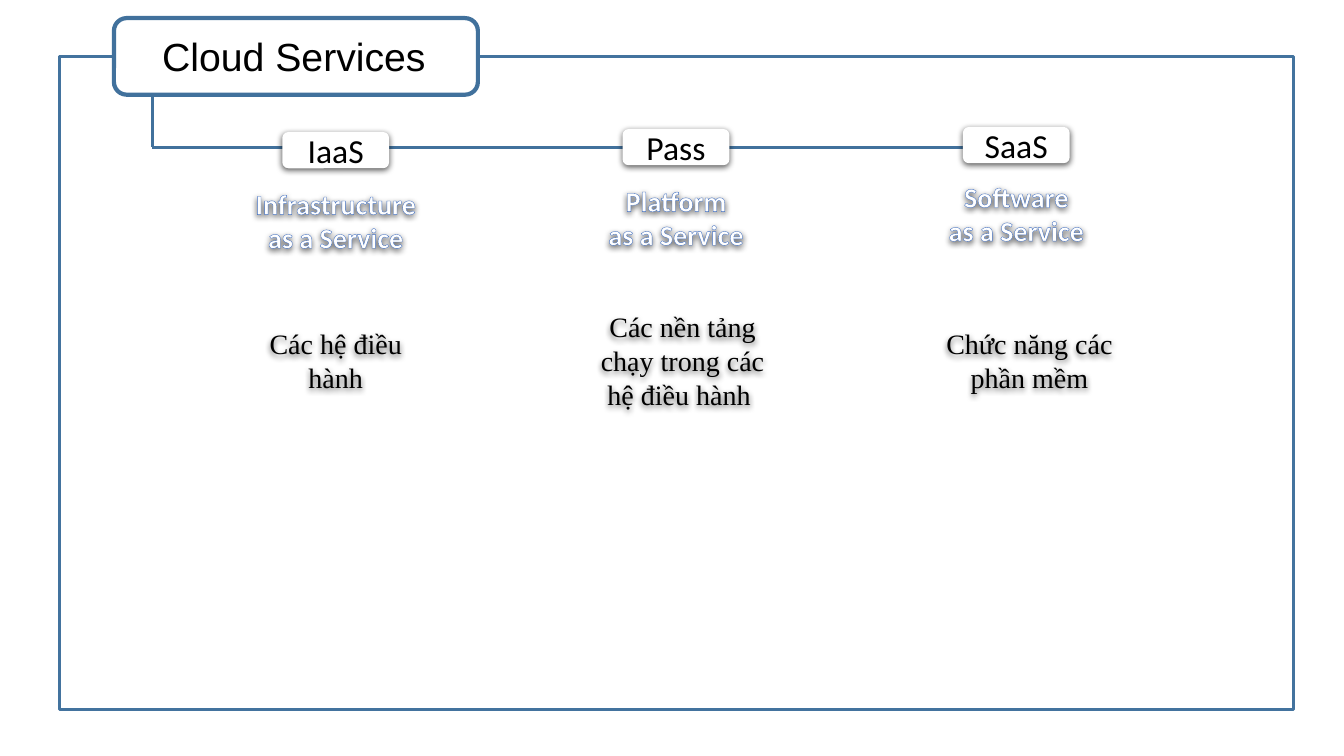
from dataclasses import dataclass
from typing import Any, Optional

import lxml.etree
import pptx
import pptx.dml.color
import pptx.enum.shapes
import pptx.enum.text
import pptx.oxml
import pptx.oxml.ns
import pptx.util

Inches = pptx.util.Inches
Pt = pptx.util.Pt
RGBColor = pptx.dml.color.RGBColor
ShapeKind = pptx.enum.shapes.MSO_SHAPE
Align = pptx.enum.text.PP_ALIGN
Anchor = pptx.enum.text.MSO_ANCHOR
qn = pptx.oxml.ns.qn

BLACK = RGBColor(0x00, 0x00, 0x00)
WHITE = RGBColor(0xFF, 0xFF, 0xFF)
LINE_BLUE = RGBColor(0x41, 0x71, 0x9C)
FRAME_BLUE = RGBColor(0x43, 0x73, 0x9E)
OUTLINE_BLUE = RGBColor(0x44, 0x72, 0xC4)

DRAWING = "http://schemas.openxmlformats.org/drawingml/2006/main"
SHADOW_XML = (
    f'<a:effectLst xmlns:a="{DRAWING}"><a:outerShdw blurRad="{Pt(4.5)}" '
    f'dist="{Pt(1.5)}" dir="5400000" algn="ctr" rotWithShape="0">'
    f'<a:srgbClr val="{BLACK}"><a:alpha val="63000"/></a:srgbClr>'
    "</a:outerShdw></a:effectLst>"
)
OUTLINE_XML = (
    f'<a:ln xmlns:a="{DRAWING}" w="{Pt(0.8)}"><a:solidFill>'
    f'<a:srgbClr val="{OUTLINE_BLUE}"/></a:solidFill></a:ln>'
)


@dataclass(frozen=True)
class Service:
    name: str
    meaning: tuple[str, str]
    description: str
    name_top: float
    meaning_top: float


@dataclass(frozen=True)
class TextBlock:
    left: float
    step: float
    width: float
    height: float
    font: dict[str, Any]
    fill: Optional[RGBColor] = None
    outlined: bool = False


SERVICES = [
    Service("IaaS", ("Infrastructure", "as a Service"), "Các hệ điều hành", 1.31, 1.85),
    Service("Pass", ("Platform", "as a Service"),
            "Các nền tảng chạy trong các hệ điều hành ", 1.28, 1.82),
    Service("SaaS", ("Software", "as a Service"), "Chức năng các phần mềm", 1.26, 1.78),
]
DESCRIPTION_TOP = 3.07

NAME_BLOCK = TextBlock(2.8, 3.375, 1.06, 0.36, {"name": "Calibri", "size": Pt(24)}, WHITE)
MEANING_BLOCK = TextBlock(
    2.26, 3.375, 2.14, 0.67,
    {"name": "Calibri", "size": Pt(20), "bold": True}, outlined=True)
DESCRIPTION_BLOCK = TextBlock(
    2.32, 3.44, 2.02, 1.01, {"name": "Times New Roman", "size": Pt(20)})


def set_font(font: Any, values: dict[str, Any], color: RGBColor) -> None:
    for attribute, value in values.items():
        setattr(font, attribute, value)
    font.color.rgb = color


def add_box(slide: Any, kind: Any, left: float, top: float, width: float, height: float,
            fill: Optional[RGBColor] = None, line: Optional[RGBColor] = None,
            line_width: float = 1) -> Any:
    shape = slide.shapes.add_shape(
        kind, Inches(left), Inches(top), Inches(width), Inches(height))
    shape.shadow.inherit = False
    if fill is None:
        shape.fill.background()
    else:
        shape.fill.solid()
        shape.fill.fore_color.rgb = fill
    if line is None:
        shape.line.fill.background()
    else:
        shape.line.color.rgb = line
        shape.line.width = Pt(line_width)
    return shape


def add_line(slide: Any, start: tuple[float, float], end: tuple[float, float]) -> None:
    connector = slide.shapes.add_connector(
        pptx.enum.shapes.MSO_CONNECTOR.STRAIGHT,
        *(Inches(value) for value in start + end))
    connector.line.color.rgb = LINE_BLUE
    connector.line.width = Pt(2.25)
    lxml.etree.SubElement(connector._element.spPr, qn("a:effectLst"))


def add_block(slide: Any, block: TextBlock, column: int, top: float,
              lines: tuple[str, ...]) -> None:
    shape = add_box(slide, ShapeKind.ROUNDED_RECTANGLE, block.left + column * block.step,
                    top, block.width, block.height, block.fill)
    properties = shape._element.spPr
    properties.replace(properties.find(qn("a:effectLst")), pptx.oxml.parse_xml(SHADOW_XML))
    frame = shape.text_frame
    frame.word_wrap = True
    frame.vertical_anchor = Anchor.MIDDLE
    frame.text = "\n".join(lines)
    for paragraph in frame.paragraphs:
        paragraph.alignment = Align.CENTER
        for run in paragraph.runs:
            set_font(run.font, block.font, WHITE if block.outlined else BLACK)
            if block.outlined:
                run._r.get_or_add_rPr().insert(0, pptx.oxml.parse_xml(OUTLINE_XML))


def add_title(slide: Any) -> None:
    add_box(slide, ShapeKind.ROUNDED_RECTANGLE, 1.13, 0.18, 3.61, 0.76,
            WHITE, LINE_BLUE, 3)
    textbox = slide.shapes.add_textbox(Inches(1.51), Inches(0.27), Inches(2.85), Inches(0.57))
    frame = textbox.text_frame
    frame.word_wrap = False
    frame.auto_size = pptx.enum.text.MSO_AUTO_SIZE.SHAPE_TO_FIT_TEXT
    frame.text = "Cloud Services"
    set_font(frame.paragraphs[0].runs[0].font, {"name": "Arial", "size": Pt(28)}, BLACK)


def main() -> None:
    presentation = pptx.Presentation()
    presentation.slide_width = Inches(13.33)
    presentation.slide_height = Inches(7.5)
    slide = presentation.slides.add_slide(presentation.slide_layouts[6])

    add_line(slide, (1.51, 0.56), (1.51, 1.46))
    add_box(slide, ShapeKind.RECTANGLE, 0.59, 0.56, 12.24, 6.48,
            line=FRAME_BLUE, line_width=2.25)
    add_title(slide)
    add_line(slide, (1.51, 1.46), (10.55, 1.46))

    for column, service in enumerate(SERVICES):
        add_block(slide, NAME_BLOCK, column, service.name_top, (service.name,))
        add_block(slide, MEANING_BLOCK, column, service.meaning_top, service.meaning)
        add_block(slide, DESCRIPTION_BLOCK, column, DESCRIPTION_TOP, (service.description,))

    presentation.save("out.pptx")


if __name__ == "__main__":
    main()
